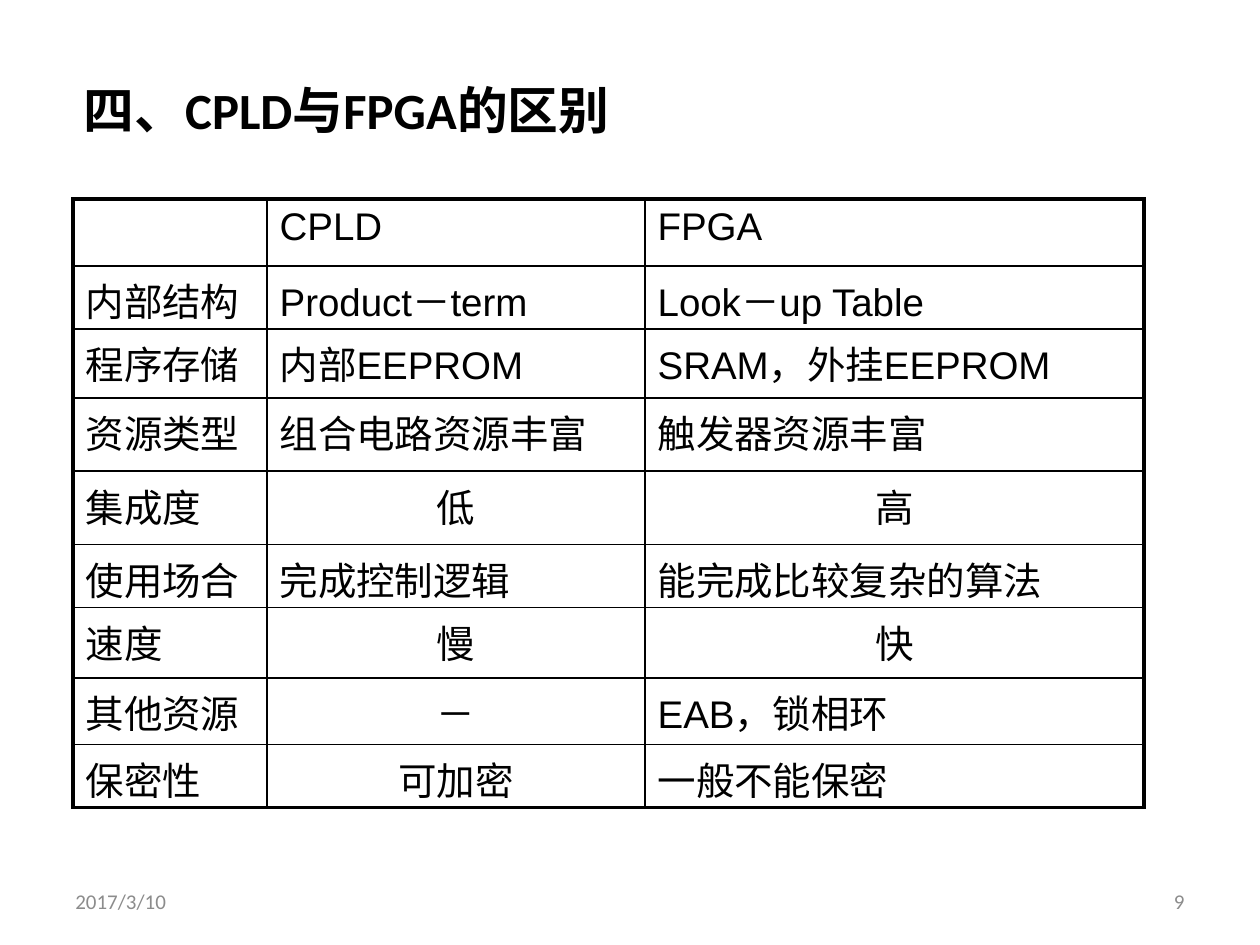
"""Build a slide with a table that compares CPLD and FPGA."""
from lxml.etree import SubElement
from pptx import Presentation
from pptx.dml.color import RGBColor
from pptx.enum.text import MSO_ANCHOR, PP_ALIGN
from pptx.oxml.ns import qn
from pptx.util import Inches, Pt

HUES = {"ink": "000000", "gray": "8C8C8C"}
HEAD = {"name": "Calibri", "size": Pt(29), "bold": True}
BODY = {"name": "Arial", "size": Pt(22), "bold": False}
FOOT = {"name": "Calibri", "size": Pt(12), "bold": False}
COLS = [1.54, 3, 3.96]
TALL = [0.53, 0.5, 0.55, 0.58, 0.58, 0.5, 0.56, 0.53, 0.5]
ROWS = [
    ("", "CPLD", "FPGA"),
    ("内部结构", "Product－term", "Look－up Table"),
    ("程序存储", "内部EEPROM", "SRAM，外挂EEPROM"),
    ("资源类型", "组合电路资源丰富", "触发器资源丰富"),
    ("集成度", "低", "高"),
    ("使用场合", "完成控制逻辑", "能完成比较复杂的算法"),
    ("速度", "慢", "快"),
    ("其他资源", "－", "EAB，锁相环"),
    ("保密性", "可加密", "一般不能保密"),
]
MID = {"低", "高", "慢", "快", "－", "可加密"}


def write(frame, text, style, hue="ink", align=PP_ALIGN.LEFT):
    """Write one styled line into a text frame and return its paragraph."""
    line = frame.paragraphs[0]
    line.alignment = align
    run = line.add_run()
    run.text = text
    for key, value in style.items():
        setattr(run.font, key, value)
    run.font.color.rgb = RGBColor.from_string(HUES[hue])
    return line


def add_text(slide, box, text, style, hue="ink", align=PP_ALIGN.LEFT):
    """Add a text box whose line is centred in height."""
    frame = slide.shapes.add_textbox(*map(Inches, box)).text_frame
    frame.word_wrap = True
    frame.vertical_anchor = MSO_ANCHOR.MIDDLE
    write(frame, text, style, hue, align)


def add_edge(cell, side, width):
    """Draw one border of a cell."""
    edge = SubElement(cell._tc.get_or_add_tcPr(), qn(f"a:ln{side}"), w=str(Pt(width)))
    fill = SubElement(edge, qn("a:solidFill"))
    SubElement(fill, qn("a:srgbClr"), val=HUES["ink"])


def add_cell(cell, text, thick):
    """Fill a cell with text and borders, heavy on the thick sides."""
    if text:
        align = PP_ALIGN.CENTER if text in MID else PP_ALIGN.LEFT
        line = write(cell.text_frame, text, BODY, align=align)
        space = SubElement(line._p.get_or_add_pPr(), qn("a:spcBef"))
        SubElement(space, qn("a:spcPct"), val="20000")
    for side in "LRTB":
        add_edge(cell, side, 2.25 if thick[side] else 1)
    cell.fill.background()


def add_grid(slide, box):
    """Add the table with a heavy outer frame."""
    grid = slide.shapes.add_table(len(ROWS), len(COLS), *map(Inches, box)).table
    grid.first_row = grid.horz_banding = False
    for col, width in zip(grid.columns, COLS):
        col.width = Inches(width)
    for row, height in zip(grid.rows, TALL):
        row.height = Inches(height)
    for i, texts in enumerate(ROWS):
        for j, text in enumerate(texts):
            thick = {"L": j == 0, "R": j == len(COLS) - 1,
                     "T": i == 0, "B": i == len(ROWS) - 1}
            add_cell(grid.cell(i, j), text, thick)


def main():
    """Build and save the slide."""
    deck = Presentation()
    deck.slide_width, deck.slide_height = Inches(10), Inches(7.5)
    slide = deck.slides.add_slide(deck.slide_layouts[6])
    add_text(slide, (-0.21, 0.52, 5.92, 0.7), "四、CPLD与FPGA的区别", HEAD,
             align=PP_ALIGN.CENTER)
    add_grid(slide, (0.58, 1.58, sum(COLS), sum(TALL)))
    add_text(slide, (0.5, 6.95, 2.33, 0.4), "2017/3/10", FOOT, "gray")
    add_text(slide, (7.17, 6.95, 2.33, 0.4), "9", FOOT, "gray", PP_ALIGN.RIGHT)
    deck.save("out.pptx")


if __name__ == "__main__":
    main()
